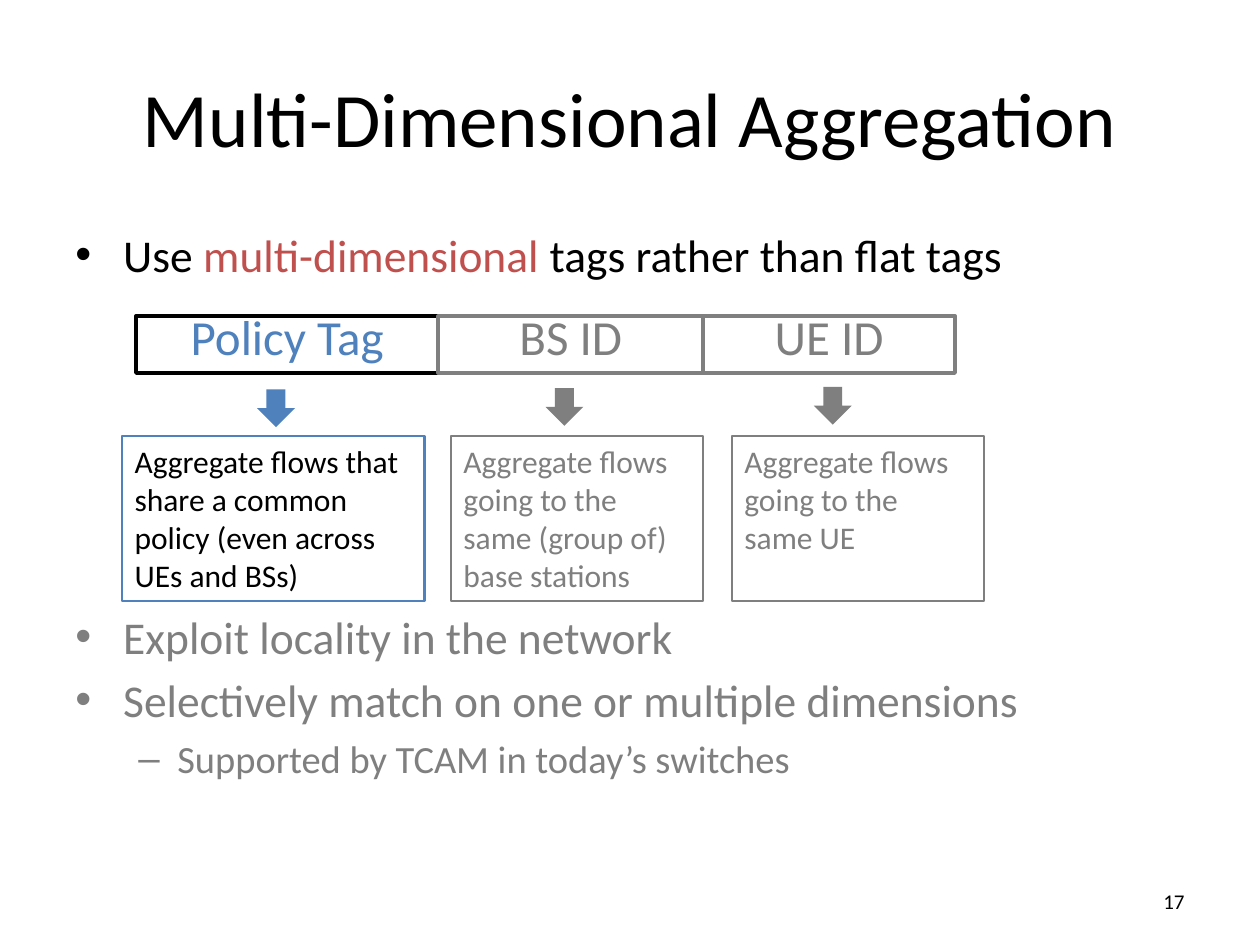
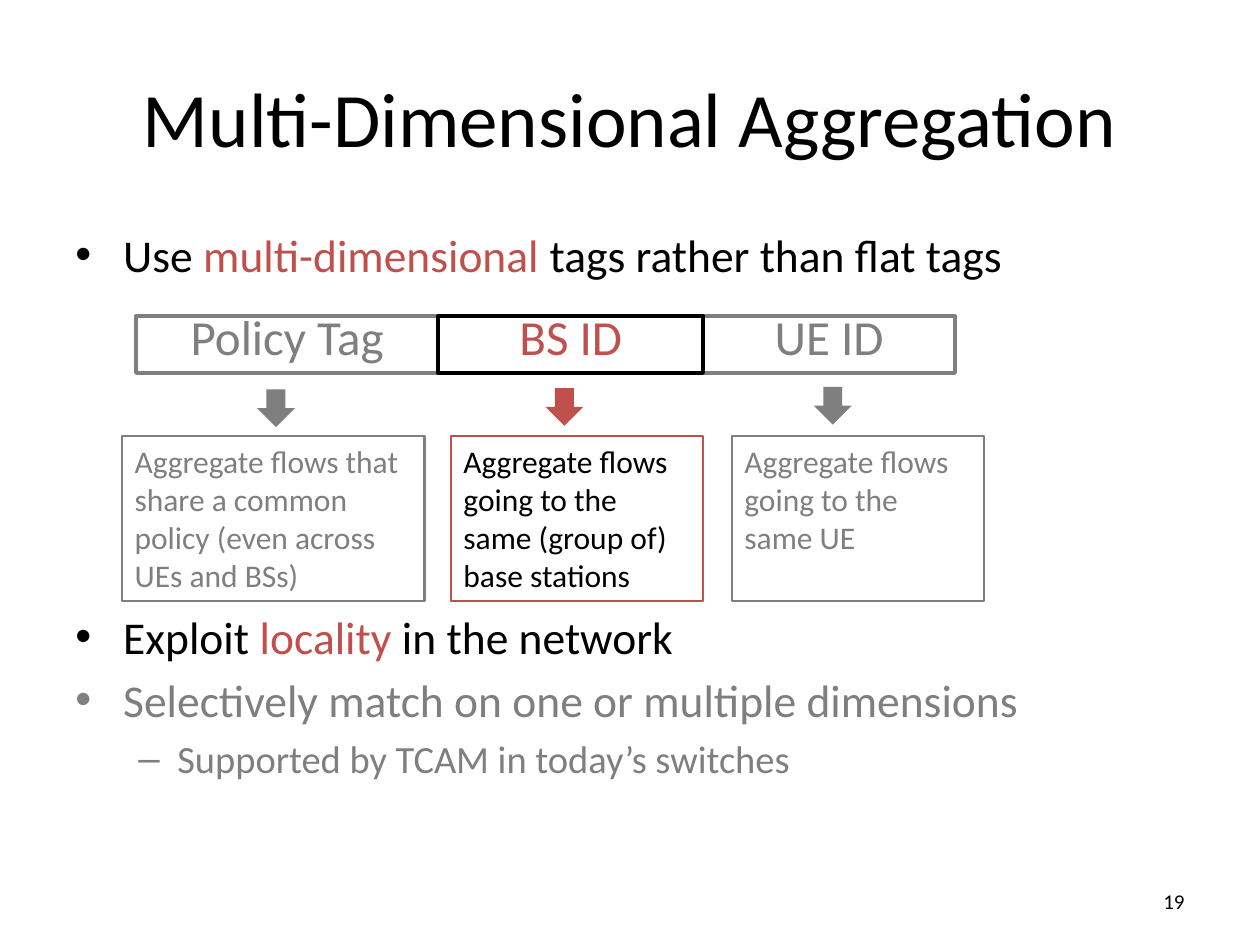
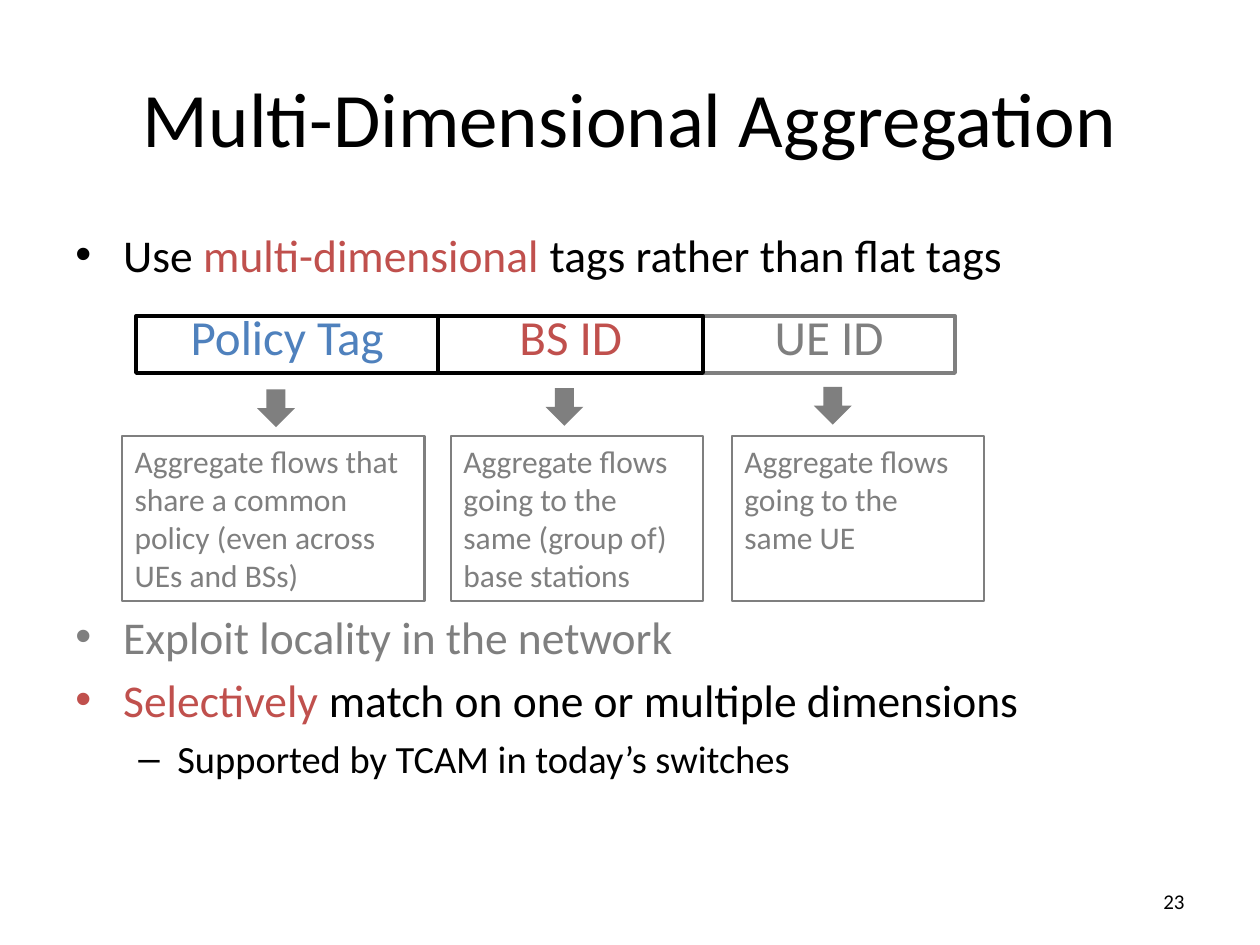
from dataclasses import dataclass

from lxml import etree
from pptx import Presentation
from pptx.dml.color import RGBColor
from pptx.enum.shapes import MSO_SHAPE
from pptx.enum.text import MSO_ANCHOR, PP_ALIGN
from pptx.oxml.ns import qn
from pptx.util import Inches, Pt

RECTANGLE, DOWN_ARROW = MSO_SHAPE.RECTANGLE, MSO_SHAPE.DOWN_ARROW
LEFT, CENTER, RIGHT = PP_ALIGN.LEFT, PP_ALIGN.CENTER, PP_ALIGN.RIGHT
TOP, MIDDLE = MSO_ANCHOR.TOP, MSO_ANCHOR.MIDDLE

BLACK = RGBColor(0x00, 0x00, 0x00)
GRAY = RGBColor(0x7F, 0x7F, 0x7F)
BLUE = RGBColor(0x4F, 0x81, 0xBD)
RED = RGBColor(0xC0, 0x50, 0x4D)
FONT = "Calibri"

# The slide is a grid of 100 columns and 75 rows of square cells.
SLIDE_WIDTH, SLIDE_HEIGHT = Inches(10), Inches(7.5)
CELL = SLIDE_WIDTH / 100


@dataclass
class Box:
    left: float
    top: float
    width: float
    height: float

    def inner(self, left, top, width, height):
        return Box(self.left + left, self.top + top, width, height)

    def lengths(self):
        return [round(cells * CELL)
                for cells in (self.left, self.top, self.width, self.height)]


TITLE_BOX = Box(5, 3, 90, 12.5)
BODY_BOX = Box(5, 17.5, 90, 49.5)
DIAGRAM_BOX = Box(9.7, 25.1, 68.4, 22.6)
NUMBER_BOX = Box(71.7, 69.5, 23.3, 4)

TAG_INDENT, TAG_HEIGHT = 1.1, 4.5
NOTE_TOP, NOTE_HEIGHT = 9.5, 13.1
ARROW_SIZE = 3
DIAGRAM_GAP = Pt(187)  # room between the first two bullets for the diagram


@dataclass
class Field:
    """One part of the tag, with its arrow and note placed inside the diagram."""
    name: str
    note: str
    color: RGBColor
    tag_width: float
    note_left: float
    note_width: float
    arrow_center: float
    arrow_top: float


FIELDS = [
    Field("Policy Tag",
          "Aggregate flows that share a common policy (even across UEs and BSs)",
          BLUE, 24, 0, 24, 12.2, 5.8),
    Field("BS ID",
          "Aggregate flows going to the same (group of) base stations",
          RED, 21, 26.1, 20, 35.1, 5.7),
    Field("UE ID", "Aggregate flows going to the same UE",
          GRAY, 20, 48.4, 20, 56.4, 5.6),
]
POLICY, BASE_STATION, USER = range(3)


@dataclass
class Stage:
    """What one slide stresses; tag_order runs from back to front."""
    number: int
    active_tags: tuple
    active_notes: tuple
    tag_order: tuple
    locality: list
    matching: list
    support_color: RGBColor


LOCALITY_FADED = [("Exploit locality in the network", GRAY)]
MATCHING_FADED = [("Selectively match on one or multiple dimensions", GRAY)]

STAGES = [
    Stage(17, (POLICY,), (POLICY,), (POLICY, BASE_STATION, USER),
          LOCALITY_FADED, MATCHING_FADED, GRAY),
    Stage(19, (BASE_STATION,), (BASE_STATION,), (POLICY, USER, BASE_STATION),
          [("Exploit ", BLACK), ("locality", RED), (" in the network", BLACK)],
          MATCHING_FADED, GRAY),
    Stage(23, (POLICY, BASE_STATION), (), (USER, POLICY, BASE_STATION),
          LOCALITY_FADED,
          [("Selectively", RED), (" match on one or multiple dimensions", BLACK)],
          BLACK),
]


def write_spans(para, spans, size, align=LEFT):
    """Fill a paragraph with (text, colour) spans of one size."""
    para.alignment = align
    for text, color in spans:
        span = para.add_run()
        span.text = text
        span.font.name = FONT
        span.font.size = Pt(size)
        span.font.color.rgb = color


def set_bullet(para, symbol, indent, hanging):
    properties = para._p.get_or_add_pPr()
    properties.set("marL", str(Inches(indent)))
    properties.set("indent", str(-Inches(hanging)))
    etree.SubElement(properties, qn("a:buFont"), typeface="Arial")
    etree.SubElement(properties, qn("a:buChar"), char=symbol)


def add_text_box(page, box, anchor):
    frame = page.shapes.add_textbox(*box.lengths()).text_frame
    frame.word_wrap = True
    frame.vertical_anchor = anchor
    return frame


def add_outlined_text(shapes, box, text, text_color, size, line_color, line_width, align):
    shape = shapes.add_shape(RECTANGLE, *box.lengths())
    shape.shadow.inherit = False
    shape.fill.background()
    shape.line.color.rgb = line_color
    shape.line.width = Pt(line_width)
    frame = shape.text_frame
    frame.word_wrap = True
    frame.vertical_anchor = TOP
    para = frame.paragraphs[0]
    write_spans(para, [(text, text_color)], size, align)
    return para


def add_title(page, box):
    title = page.shapes.title
    title.left, title.top, title.width, title.height = box.lengths()
    frame = title.text_frame
    frame.vertical_anchor = MIDDLE
    write_spans(frame.paragraphs[0], [("Multi-Dimensional Aggregation", BLACK)], 44, CENTER)


def add_body(page, box, stage):
    top_level = ("•", 0.38, 0.38)
    sub_level = ("–", 0.81, 0.31)
    opening = [("Use ", BLACK), ("multi-dimensional ", RED),
               ("tags rather than flat tags", BLACK)]
    support = [("Supported by TCAM in today’s switches", stage.support_color)]
    rows = [
        (opening, 26, top_level, Pt(0)),
        (stage.locality, 26, top_level, DIAGRAM_GAP),
        (stage.matching, 26, top_level, Pt(5)),
        (support, 22, sub_level, Pt(5)),
    ]
    frame = add_text_box(page, box, TOP)
    for index, (spans, size, bullet, gap) in enumerate(rows):
        para = frame.add_paragraph() if index else frame.paragraphs[0]
        write_spans(para, spans, size)
        para.space_before = gap
        set_bullet(para, *bullet)


def add_tags(page, box, stage):
    for index in stage.tag_order:
        field = FIELDS[index]
        active = index in stage.active_tags
        left = TAG_INDENT + sum(earlier.tag_width for earlier in FIELDS[:index])
        para = add_outlined_text(
            page.shapes, box.inner(left, 0, field.tag_width, TAG_HEIGHT),
            field.name, field.color if active else GRAY, 28,
            BLACK if active else GRAY, 2.25, CENTER)
        para.line_spacing = 0.7


def add_note(page, box, field, active):
    """Group a field's explanation with the arrow that leads to it."""
    accent = field.color if active else GRAY
    group = page.shapes.add_group_shape()
    add_outlined_text(
        group.shapes, box.inner(field.note_left, NOTE_TOP, field.note_width, NOTE_HEIGHT),
        field.note, BLACK if active else GRAY, 18, accent, 1.5, LEFT)
    arrow_box = box.inner(field.arrow_center - ARROW_SIZE / 2, field.arrow_top,
                          ARROW_SIZE, ARROW_SIZE)
    arrow = group.shapes.add_shape(DOWN_ARROW, *arrow_box.lengths())
    arrow.shadow.inherit = False
    arrow.fill.solid()
    arrow.fill.fore_color.rgb = accent
    arrow.line.fill.background()


def add_diagram(page, box, stage):
    add_tags(page, box, stage)
    for index, field in enumerate(FIELDS):
        add_note(page, box, field, index in stage.active_notes)


def add_page_number(page, box, number):
    frame = add_text_box(page, box, MIDDLE)
    write_spans(frame.paragraphs[0], [(str(number), BLACK)], 12, RIGHT)


def add_stage_slide(deck, stage):
    title_only = deck.slide_layouts.get_by_name("Title Only")
    page = deck.slides.add_slide(title_only)
    add_title(page, TITLE_BOX)
    add_body(page, BODY_BOX, stage)
    add_diagram(page, DIAGRAM_BOX, stage)
    add_page_number(page, NUMBER_BOX, stage.number)


def main():
    deck = Presentation()
    deck.slide_width, deck.slide_height = SLIDE_WIDTH, SLIDE_HEIGHT
    for stage in STAGES:
        add_stage_slide(deck, stage)
    deck.save("out.pptx")


if __name__ == "__main__":
    main()
